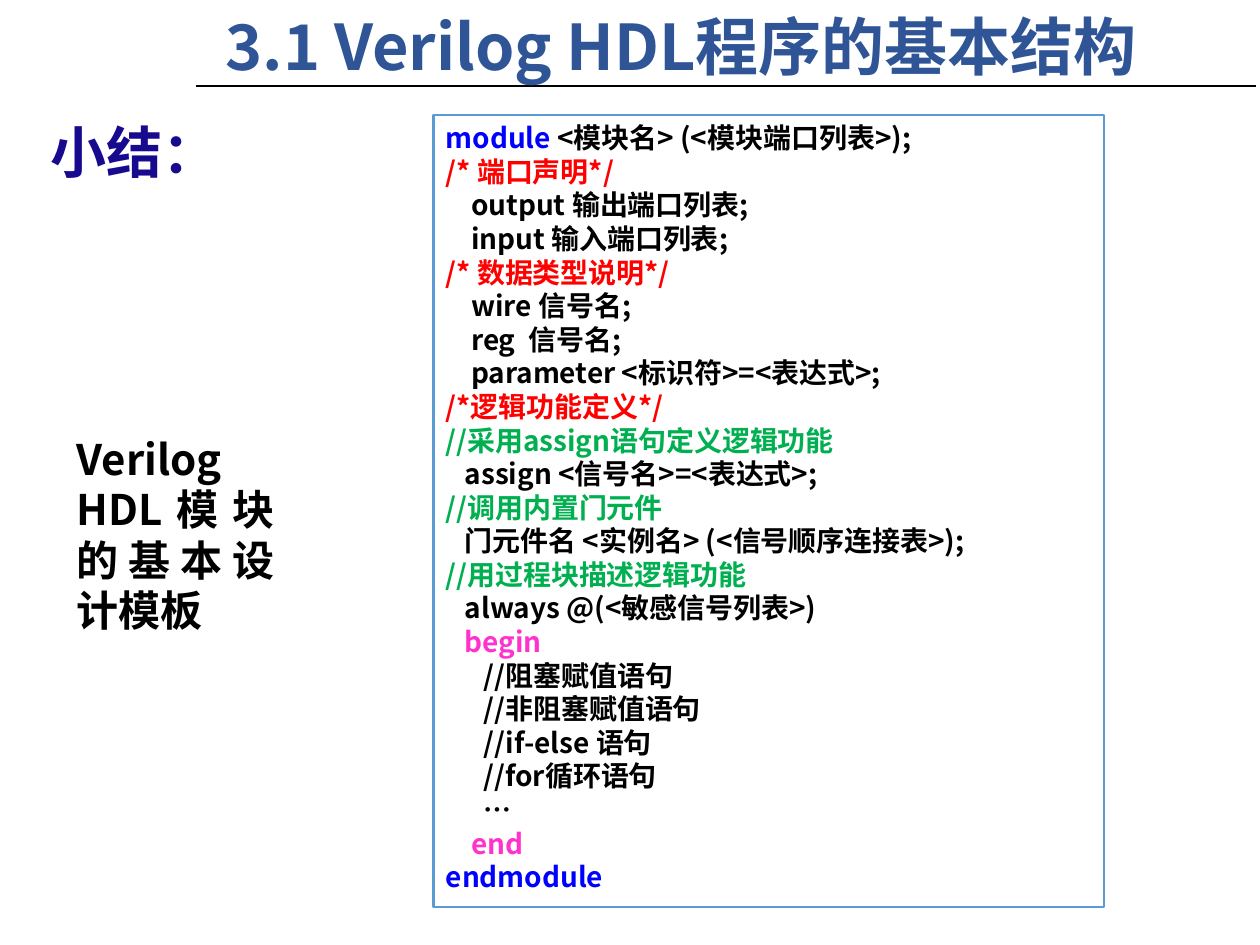
"""Build the summary slide with the Verilog HDL module template."""
from dataclasses import dataclass

from lxml import etree
from pptx import Presentation
from pptx.dml.color import RGBColor
from pptx.enum.shapes import MSO_CONNECTOR, MSO_SHAPE
from pptx.enum.text import MSO_ANCHOR, PP_ALIGN
from pptx.oxml.ns import qn
from pptx.util import Pt

STRAIGHT = MSO_CONNECTOR.STRAIGHT
RECTANGLE = MSO_SHAPE.RECTANGLE
TOP = MSO_ANCHOR.TOP
LEFT, JUSTIFY = PP_ALIGN.LEFT, PP_ALIGN.JUSTIFY

FONT = "Noto Sans CJK SC"
LINE_PITCH = 1.2
RULE_WIDTH = 1.25

BLACK = RGBColor(0x00, 0x00, 0x00)
RED = RGBColor(0xFF, 0x00, 0x00)
GREEN = RGBColor(0x00, 0xB0, 0x50)
BLUE = RGBColor(0x00, 0x00, 0xFF)
PINK = RGBColor(0xFF, 0x33, 0xCC)
NAVY = RGBColor(0x17, 0x0A, 0x8E)
TITLE_BLUE = RGBColor(0x2F, 0x55, 0x97)
FRAME_BLUE = RGBColor(0x5B, 0x9B, 0xD5)


@dataclass(frozen=True)
class Span:
    text: str
    color: RGBColor = BLACK


@dataclass(frozen=True)
class Block:
    left: float
    top: float
    width: float
    height: float
    size: float
    lines: tuple[tuple[Span, ...], ...]
    align: PP_ALIGN = LEFT
    framed: bool = False


CODE = (
    (Span("module ", BLUE), Span("<模块名> (<模块端口列表>);")),
    (Span("/* 端口声明*/", RED),),
    (Span("    output 输出端口列表;"),),
    (Span("    input 输入端口列表;"),),
    (Span("/* 数据类型说明*/", RED),),
    (Span("    wire 信号名;"),),
    (Span("    reg  信号名;"),),
    (Span("    parameter <标识符>=<表达式>;"),),
    (Span("/*逻辑功能定义*/", RED),),
    (Span("//采用assign语句定义逻辑功能", GREEN),),
    (Span("   assign <信号名>=<表达式>;"),),
    (Span("//调用内置门元件", GREEN),),
    (Span("   门元件名 <实例名> (<信号顺序连接表>);"),),
    (Span("//用过程块描述逻辑功能", GREEN),),
    (Span("   always @(<敏感信号列表>)"),),
    (Span("   begin", PINK),),
    (Span("      //阻塞赋值语句"),),
    (Span("      //非阻塞赋值语句"),),
    (Span("      //if-else 语句"),),
    (Span("      //for循环语句"),),
    (Span("      …"),),
    (Span("    end", PINK),),
    (Span("endmodule", BLUE),),
)

BLOCKS = (
    Block(247.7, 65.5, 383, 452.9, 16, CODE, framed=True),
    Block(36.7, 244.1, 127.4, 123.8, 24,
          ((Span("Verilog HDL模块的基本设计模板"),),), JUSTIFY),
    Block(21.6, 63.4, 468.7, 46.1, 32, ((Span("小结：", NAVY),),)),
    Block(121.7, 0.7, 568.1, 51.1, 36,
          ((Span("3.1 Verilog HDL程序的基本结构", TITLE_BLUE),),)),
)


def draw_block(s, block: Block) -> None:
    box = [Pt(v) for v in (block.left, block.top, block.width, block.height)]
    if block.framed:
        sp = s.shapes.add_shape(RECTANGLE, *box)
        sp.shadow.inherit = False
        sp.fill.background()
        sp.line.color.rgb = FRAME_BLUE
        sp.line.width = Pt(RULE_WIDTH)
    else:
        sp = s.shapes.add_textbox(*box)
    tf = sp.text_frame
    tf.word_wrap = True
    tf.vertical_anchor = TOP
    tf.text = "\n".join(line[0].text for line in block.lines)
    for p, line in zip(tf.paragraphs, block.lines):
        p.alignment = block.align
        p.line_spacing = Pt(block.size * LINE_PITCH)
        for span in line[1:]:
            p.add_run().text = span.text
        for r, span in zip(p.runs, line):
            r.font.size = Pt(block.size)
            r.font.bold = True
            r.font.color.rgb = span.color
            r.font.name = FONT
            etree.SubElement(r._r.get_or_add_rPr(), qn("a:ea"), typeface=FONT)


def draw_rule(s, left: float, right: float, y: float) -> None:
    rule = s.shapes.add_connector(STRAIGHT, Pt(left), Pt(y), Pt(right), Pt(y))
    rule.line.color.rgb = BLACK
    rule.line.width = Pt(RULE_WIDTH)
    etree.SubElement(rule._element.spPr, qn("a:effectLst"))


def main() -> None:
    prs = Presentation()
    prs.slide_width, prs.slide_height = Pt(720), Pt(540)
    s = prs.slides.add_slide(prs.slide_layouts[6])
    *body, title = BLOCKS
    for block in body:
        draw_block(s, block)
    draw_rule(s, 112.3, 717.8, 49)
    draw_block(s, title)
    prs.save("out.pptx")


if __name__ == "__main__":
    main()
